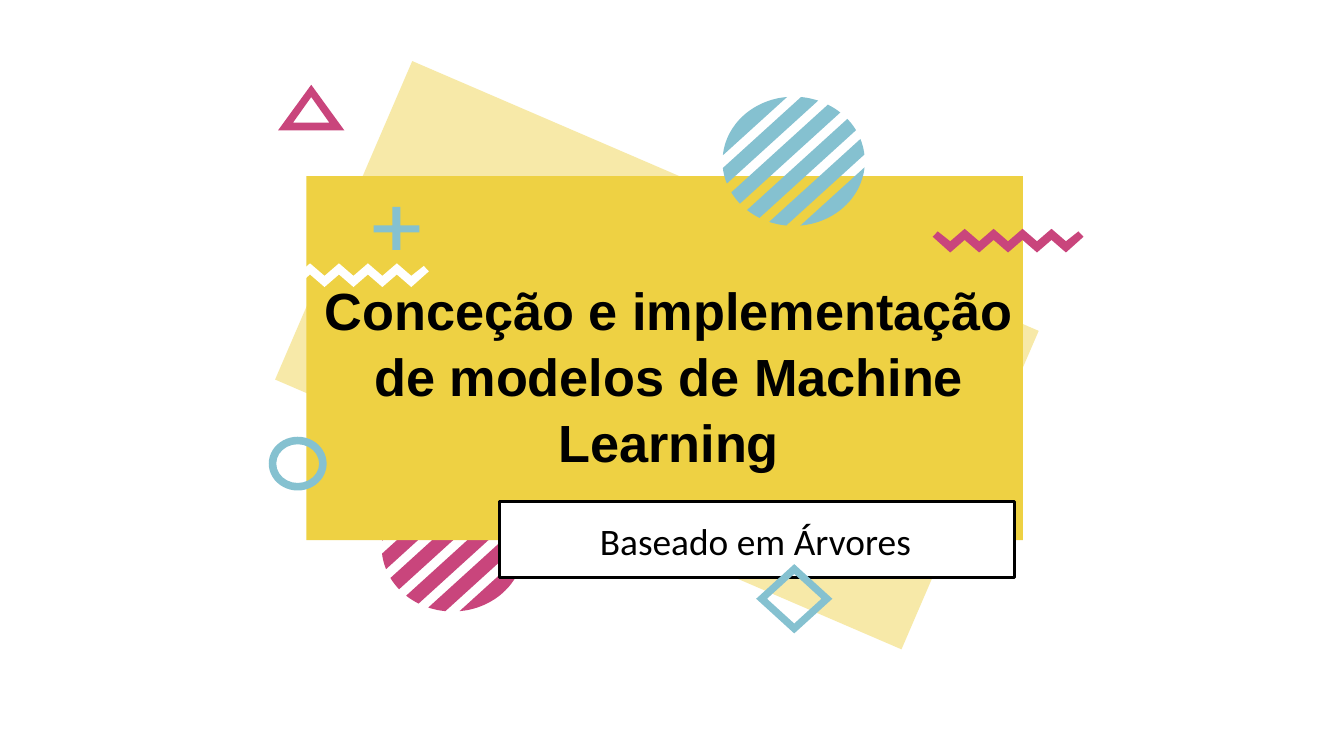
from math import acos, cos, pi, sin

from pptx import Presentation
from pptx.dml.color import RGBColor
from pptx.enum.shapes import MSO_SHAPE
from pptx.enum.text import MSO_ANCHOR, PP_ALIGN
from pptx.oxml import parse_xml
from pptx.oxml.ns import nsdecls
from pptx.util import Pt

RECTANGLE = MSO_SHAPE.RECTANGLE
DONUT = MSO_SHAPE.DONUT
TOP = MSO_ANCHOR.TOP
CENTER = PP_ALIGN.CENTER

YELLOW = RGBColor(0xEE, 0xD1, 0x43)
PINK = RGBColor(0xC9, 0x45, 0x7C)
BLUE = RGBColor(0x85, 0xC1, 0xD0)
WHITE = RGBColor(0xFF, 0xFF, 0xFF)
BLACK = RGBColor(0, 0, 0)

TITLE_FORMAT = {"name": "Arial", "size": Pt(28), "bold": True}
SUBTITLE_FORMAT = {"name": "Calibri", "size": Pt(20), "bold": False}
INSET = Pt(7.2)


class Cover:
    def __init__(self, deck):
        self.page = deck.slides.add_slide(deck.slide_layouts[5])
        self.shapes = self.page.shapes

    def paint(self, shape, color, line=None):
        shape.shadow.inherit = False
        shape.fill.solid()
        shape.fill.fore_color.rgb = color
        if line is None:
            shape.line.fill.background()
        else:
            shape.line.color.rgb = line
            shape.line.width = Pt(1.5)
        return shape

    def preset(self, kind, left, top, width, height, color, line=None):
        shape = self.shapes.add_shape(kind, Pt(left), Pt(top), Pt(width), Pt(height))
        return self.paint(shape, color, line)

    def outline(self, contours, color):
        contours = [[(Pt(x), Pt(y)) for x, y in points] for points in contours]
        builder = self.shapes.build_freeform(*contours[0][0])
        for index, points in enumerate(contours):
            if index:
                builder.move_to(*points[0])
            builder.add_line_segments(points[1:], close=True)
        return self.paint(builder.convert_to_shape(), color)

    def striped_ball(self, center_x, center_y, color):
        radius_x, radius_y, steps = 38.1, 34.6, 16
        for band in range(6):
            start = -0.98 + 0.35 * band
            end = start + 0.21
            first = pi if band == 0 else acos(start)
            last = 0 if band == 5 else acos(end)
            arc = [first + (last - first) * i / steps for i in range(steps + 1)]
            angles = arc + [-angle for angle in reversed(arc)]
            self.outline([[(center_x + radius_x * cos(angle + pi / 4),
                            center_y + radius_y * sin(angle + pi / 4))
                           for angle in angles]], color)

    def zigzag(self, left, top, color):
        teeth = [(left + 9.4 + 7.75 * i, top + 6.7 * (1 - i % 2)) for i in range(9)]
        lower = [(x, y + 6) for x, y in reversed(teeth)]
        right = left + 80.8
        self.outline([[(left, top + 4.3), (left + 2.7, top + 1.4), *teeth,
                       (right - 2.7, top + 1.4), (right, top + 4.3), *lower]], color)

    def set_text(self, box, left, top, width, height, text, style):
        box.left, box.top, box.width, box.height = map(Pt, (left, top, width, height))
        frame = box.text_frame
        settings = {"word_wrap": True, "vertical_anchor": TOP, "margin_left": INSET,
                    "margin_right": INSET, "margin_top": INSET, "margin_bottom": INSET}
        for name, value in settings.items():
            setattr(frame, name, value)
        para = frame.paragraphs[0]
        para.alignment = CENTER
        span = para.add_run()
        span.text = text
        for name, value in style.items():
            setattr(span.font, name, value)
        span.font.color.rgb = BLACK
        return para

    def title(self, left, top, width, height, text):
        box = self.shapes.title
        box.element.getparent().append(box.element)
        para = self.set_text(box, left, top, width, height, text, TITLE_FORMAT)
        para.line_spacing = 1.05

    def subtitle(self, left, top, width, height, text):
        box = self.shapes.add_textbox(0, 0, 0, 0)
        self.set_text(box, left, top, width, height, text, SUBTITLE_FORMAT)


def main():
    deck = Presentation()
    deck.slide_width, deck.slide_height = Pt(720), Pt(405)
    cover = Cover(deck)

    tilted = cover.preset(RECTANGLE, 169.2, 97.4, 365.4, 185.8, YELLOW)
    tilted.rotation = 23.3
    tint = tilted.element.spPr.find(".//{*}srgbClr")
    tint.append(parse_xml(f'<a:alpha {nsdecls("a")} val="46000"/>'))

    cover.striped_ball(242.6, 293, PINK)
    cover.preset(RECTANGLE, 164.2, 94.3, 383.8, 195.1, YELLOW)
    cover.preset(RECTANGLE, 267.8, 268.6, 275.8, 41, WHITE, BLACK)

    diamond = [[(425.5 + dx * size, 320.8 + dy * size * 0.91)
                for dx, dy in ((0, -1), (1, 0), (0, 1), (-1, 0))]
               for size in (20.4, 14.6)]
    cover.outline(diamond, BLUE)
    cover.zigzag(149, 141.1, WHITE)
    cover.striped_ball(425.2, 86.4, BLUE)
    cover.zigzag(499.7, 122.6, PINK)
    ring = cover.preset(DONUT, 144, 234, 31, 28.8, BLUE)
    ring.adjustments[0] = 0.14
    cover.preset(RECTANGLE, 200.2, 120.8, 24.5, 3.8, BLUE)
    cover.preset(RECTANGLE, 210.2, 110.9, 4.3, 23, BLUE)
    cover.outline([[(166.8, 45.4), (149, 69.8), (184.5, 69.8)],
                   [(166.8, 52), (157, 65.7), (176.5, 65.7)]], PINK)

    cover.title(162.7, 140.2, 391, 132.5,
                "Conceção e implementação de modelos de Machine Learning")
    cover.subtitle(279.4, 270.2, 250.6, 38.9, "Baseado em Árvores")
    deck.save("out.pptx")


if __name__ == "__main__":
    main()
